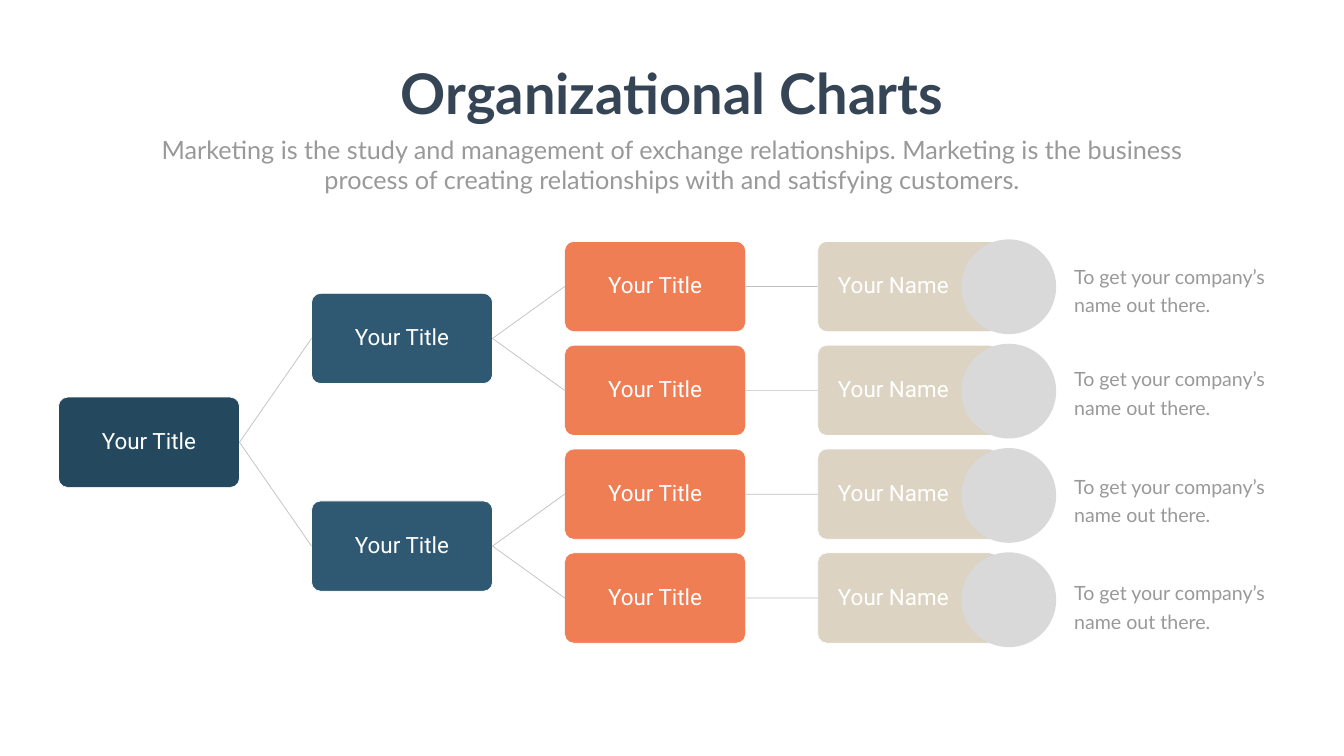
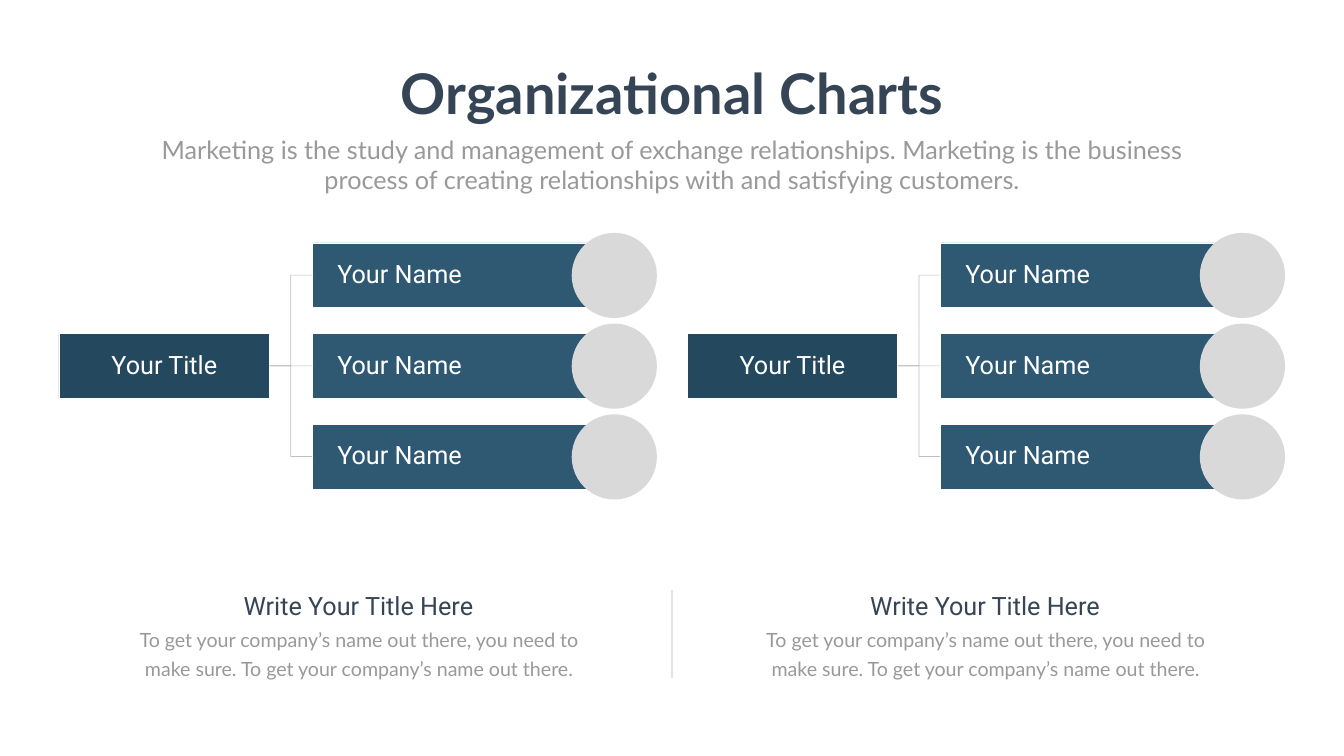
from lxml.etree import SubElement
from pptx import Presentation
from pptx.dml.color import RGBColor
from pptx.enum.shapes import MSO_CONNECTOR, MSO_SHAPE
from pptx.enum.text import MSO_ANCHOR, MSO_AUTO_SIZE, PP_ALIGN
from pptx.oxml.ns import qn
from pptx.util import Inches, Pt

HEX = {
    "navy": "24485E", "blue": "2F5872", "orange": "EF7E55", "sand": "DCD3C3",
    "disc": "D9D9D9", "title": "364556", "body": "999999", "line": "808080",
    "white": "FFFFFF",
}
LEFT, RIGHT = 1, 3  # connection sites of a box
NOTE = "To get your company’s name out there"


def color(name):
    return RGBColor.from_string(HEX[name])


def style(par, font, size, tint, align, bold=False):
    par.alignment = align
    par.font.name = font
    par.font.size = Pt(size)
    par.font.bold = bold
    par.font.color.rgb = color(tint)


def add_text(slide, text, place, font, size, tint, align=PP_ALIGN.CENTER,
             bold=False, lead=None, wrap=True):
    box = slide.shapes.add_textbox(*map(Inches, place))
    frame = box.text_frame
    frame.word_wrap = wrap
    frame.auto_size = MSO_AUTO_SIZE.SHAPE_TO_FIT_TEXT
    frame.text = text
    par = frame.paragraphs[0]
    if lead:
        par.line_spacing = Pt(lead)
    style(par, font, size, tint, align, bold)


def add_shape(slide, kind, place, fill):
    shape = slide.shapes.add_shape(kind, *map(Inches, place))
    shape.shadow.inherit = False
    shape.fill.solid()
    shape.fill.fore_color.rgb = color(fill)
    shape.line.fill.background()
    return shape


def add_box(slide, kind, place, fill, text, size, indent=None):
    """Box with a centred label, or a left label when an indent is given."""
    box = add_shape(slide, kind, place, fill)
    box.line.color.rgb = color("white")
    box.line.width = Pt(1)
    if kind == MSO_SHAPE.ROUNDED_RECTANGLE:
        box.adjustments[0] = 0.1
    frame = box.text_frame
    frame.word_wrap = True
    frame.vertical_anchor = MSO_ANCHOR.MIDDLE
    frame.margin_left = Inches(indent or 0.03)
    frame.margin_right = frame.margin_top = frame.margin_bottom = Inches(0.03)
    frame.text = text
    par = frame.paragraphs[0]
    par.line_spacing = 0.9
    style(par, "Roboto", size, "white",
          PP_ALIGN.LEFT if indent else PP_ALIGN.CENTER)
    return box


def add_disc(slide, left, top, size):
    add_shape(slide, MSO_SHAPE.OVAL, (left, top, size, size), "disc")


def add_line(slide, start, end, kind=MSO_CONNECTOR.STRAIGHT, width=1, alpha=50):
    line = slide.shapes.add_connector(kind, *map(Inches, start + end))
    line.line.color.rgb = color("line")
    line.line.width = Pt(width)
    tint = line.line.fill._xPr.find(".//" + qn("a:srgbClr"))
    SubElement(tint, qn("a:alpha"), val=str(alpha * 1000))
    SubElement(line._element.spPr, qn("a:effectLst"))
    return line


def join(slide, one, two, kind=MSO_CONNECTOR.STRAIGHT):
    line = add_line(slide, (0, 0), (0, 0), kind)
    line.begin_connect(one, RIGHT)
    line.end_connect(two, LEFT)


def add_head(slide):
    add_text(slide, "Organizational Charts", (7.7, 1.12, 11.26, 1.45),
             "Lato", 80, "title", bold=True, wrap=False)
    add_text(slide, "Marketing is the study and management of exchange "
             "relationships. Marketing is the business process of creating "
             "relationships with and satisfying customers.",
             (2.92, 2.61, 20.82, 1.31), "Lato", 36, "body")


def build_tree(slide):
    def node(col, row, fill, text="Your Title", indent=None):
        place = (1.16 + 5.02 * col, 4.79 + 2.06 * row, 3.59, 1.79)
        return add_box(slide, MSO_SHAPE.ROUNDED_RECTANGLE, place, fill,
                       text, 32, indent)

    # Three levels of titles, then the names
    root = node(0, 1.5, "navy")
    for half in range(2):
        lead = node(1, 2 * half + 0.5, "blue")
        join(slide, root, lead)
        for row in (2 * half, 2 * half + 1):
            team = node(2, row, "orange")
            name = node(3, row, "sand", "Your Name", 0.35)
            join(slide, lead, team)
            join(slide, team, name)

    # Portrait discs and notes
    for row, top in enumerate((5.1, 7.13, 9.27, 11.38)):
        add_disc(slide, 19.07, 4.75 + 2.07 * row, 1.88)
        add_text(slide, NOTE + ".", (21.21, top, 4.3, 1.19), "Lato", 28,
                 "body", PP_ALIGN.LEFT, lead=40.8)


def build_team(slide, left):
    root = add_box(slide, MSO_SHAPE.RECTANGLE, (left, 6.62, 4.18, 1.28),
                   "navy", "Your Title", 36)
    for row in range(3):
        top = 4.82 + 1.8 * row
        name = add_box(slide, MSO_SHAPE.RECTANGLE,
                       (left + 5.02, top, 5.99, 1.28),
                       "blue", "Your Name", 36, 0.5)
        join(slide, root, name,
             MSO_CONNECTOR.STRAIGHT if row == 1 else MSO_CONNECTOR.ELBOW)
        add_disc(slide, left + 10.17, top - 0.2, 1.69)


def add_note(slide, left):
    add_text(slide, "Write Your Title Here", (left + 1.67, 11.66, 5.72, 0.71),
             "Roboto", 36, "title")
    add_text(slide, f"{NOTE}, you need to make sure. {NOTE}.",
             (left, 12.31, 9.08, 1.19), "Lato", 28, "body", lead=40.8)


def main():
    deck = Presentation()
    deck.slide_width, deck.slide_height = Inches(26.66), Inches(15)
    tree, teams = (deck.slides.add_slide(deck.slide_layouts[6])
                   for _ in range(2))

    # Slide 1: one tree
    build_tree(tree)
    add_head(tree)

    # Slide 2: two teams with notes below
    for left in (1.17, 13.63):
        build_team(teams, left)
    for left in (2.58, 15.01):
        add_note(teams, left)
    add_line(teams, (13.33, 11.71), (13.33, 13.45), width=3, alpha=20)
    add_head(teams)

    deck.save("out.pptx")


if __name__ == "__main__":
    main()
